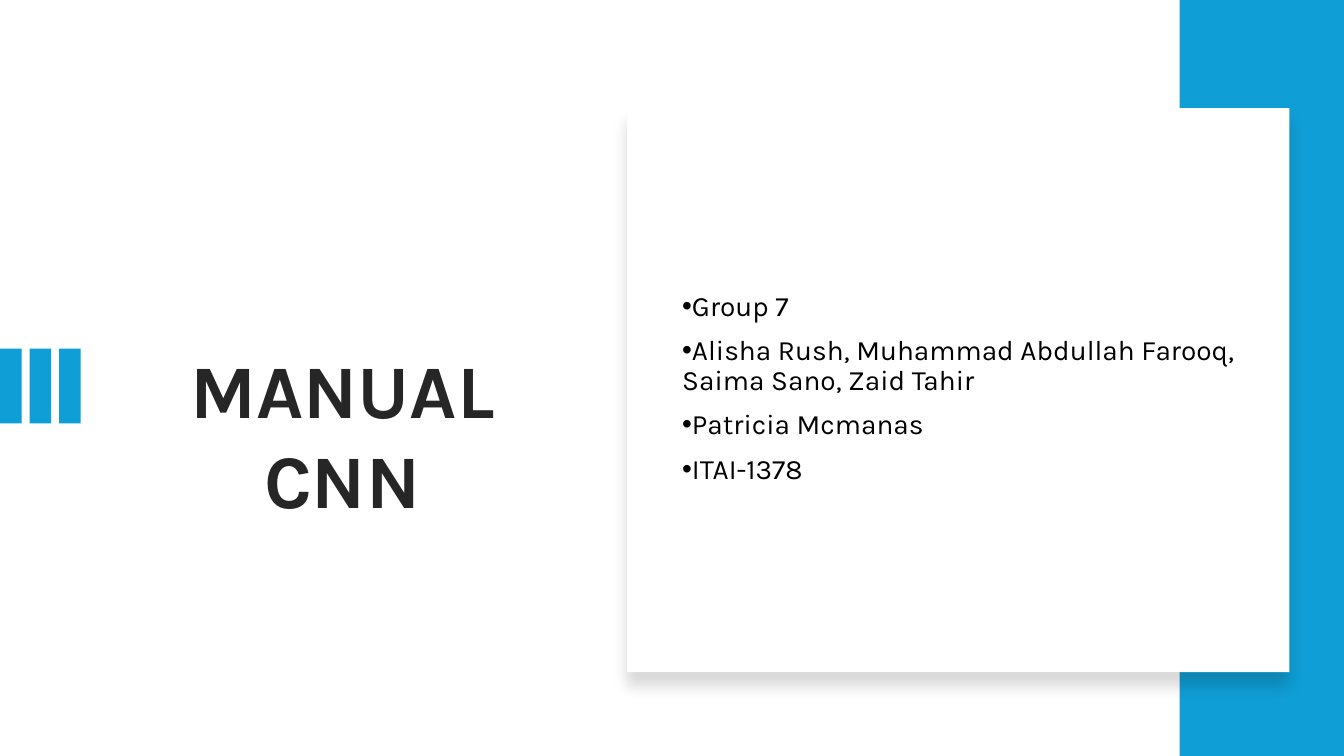
from dataclasses import dataclass

from lxml.etree import SubElement
from pptx import Presentation
from pptx.dml.color import RGBColor
from pptx.enum.shapes import MSO_SHAPE as Shape
from pptx.enum.text import MSO_ANCHOR as Anchor, MSO_AUTO_SIZE as AutoSize, PP_ALIGN as Align
from pptx.oxml.ns import qn
from pptx.util import Pt

# Content
TITLE = "MANUAL CNN"
DETAILS = [
    "Group 7",
    "Alisha Rush, Muhammad Abdullah Farooq, Saima Sano, Zaid Tahir",
    "Patricia Mcmanas",
    "ITAI-1378",
]

# Layout in points: left, top, width, height
PAGE_WIDTH, PAGE_HEIGHT = 960, 540
BAND_WIDTH = 117.5
CARD = (448, 77.2, 473, 403)
DETAILS_AREA = (480.2, 105.1, 414, 344.9)
TITLE_AREA = (70.6, 241.2, 347.8, 72.7)
BAR_COUNT, BAR_PITCH = 3, 21.1
BAR_TOP, BAR_WIDTH, BAR_HEIGHT = 249.1, 15.4, 53.3


@dataclass(frozen=True)
class Theme:
    font: str = "Karla"
    accent: str = "0F9ED5"
    paper: str = "FFFFFF"
    ink: str = "000000"
    heading: str = "262626"
    title_size: int = 54
    body_size: int = 20


THEME = Theme()


def add_block(page, area, color):
    box = page.shapes.add_shape(Shape.RECTANGLE, *map(Pt, area))
    box.shadow.inherit = False
    box.fill.solid()
    box.fill.fore_color.rgb = RGBColor.from_string(color)
    box.line.fill.background()
    return box


def add_color(parent, color):
    return SubElement(parent, qn("a:srgbClr"), val=color)


def add_soft_shadow(box):
    effects = box.element.spPr.find(qn("a:effectLst"))
    shadow = SubElement(effects, qn("a:outerShdw"), blurRad=str(Pt(11)),
                        dist=str(Pt(10)), dir="5400000", algn="t", rotWithShape="0")
    SubElement(add_color(shadow, THEME.ink), qn("a:alpha"), val="15000")


def add_text_frame(page, area):
    frame = page.shapes.add_textbox(*map(Pt, area)).text_frame
    frame.word_wrap = True
    return frame


def add_span(para, text, size, color, bold=False):
    span = para.add_run()
    span.text = text
    span.font.name = THEME.font
    span.font.size = Pt(size)
    span.font.bold = bold
    span.font.color.rgb = RGBColor.from_string(color)
    return span


def add_bullet(para):
    para.line_spacing = 0.9
    para.space_before = Pt(10)
    props = para._p.get_or_add_pPr()
    props.set("marL", "0")
    props.set("indent", str(-Pt(18)))
    SubElement(props, qn("a:buFont"), typeface="Arial")
    SubElement(props, qn("a:buChar"), char="•")


def add_outline(span, width, color):
    props = span._r.get_or_add_rPr()
    outline = SubElement(props, qn("a:ln"), w=str(Pt(width)))
    add_color(SubElement(outline, qn("a:solidFill")), color)
    props.insert(0, outline)  # the line precedes the fill


def main():
    deck = Presentation()
    deck.slide_width, deck.slide_height = Pt(PAGE_WIDTH), Pt(PAGE_HEIGHT)
    page = deck.slides.add_slide(deck.slide_layouts[6])

    # Accent bars and side band
    for index in range(BAR_COUNT):
        add_block(page, (index * BAR_PITCH, BAR_TOP, BAR_WIDTH, BAR_HEIGHT), THEME.accent)
    add_block(page, (PAGE_WIDTH - BAND_WIDTH, 0, BAND_WIDTH, PAGE_HEIGHT), THEME.accent)

    # Card with details
    add_soft_shadow(add_block(page, CARD, THEME.paper))
    frame = add_text_frame(page, DETAILS_AREA)
    frame.vertical_anchor = Anchor.MIDDLE
    for index, text in enumerate(DETAILS):
        para = frame.add_paragraph() if index else frame.paragraphs[0]
        add_bullet(para)
        add_span(para, text, THEME.body_size, THEME.ink)

    # Title with a thin outline
    frame = add_text_frame(page, TITLE_AREA)
    frame.auto_size = AutoSize.SHAPE_TO_FIT_TEXT
    para = frame.paragraphs[0]
    para.alignment = Align.CENTER
    span = add_span(para, TITLE, THEME.title_size, THEME.heading, bold=True)
    add_outline(span, 1.06, THEME.paper)

    deck.save("out.pptx")


if __name__ == "__main__":
    main()
